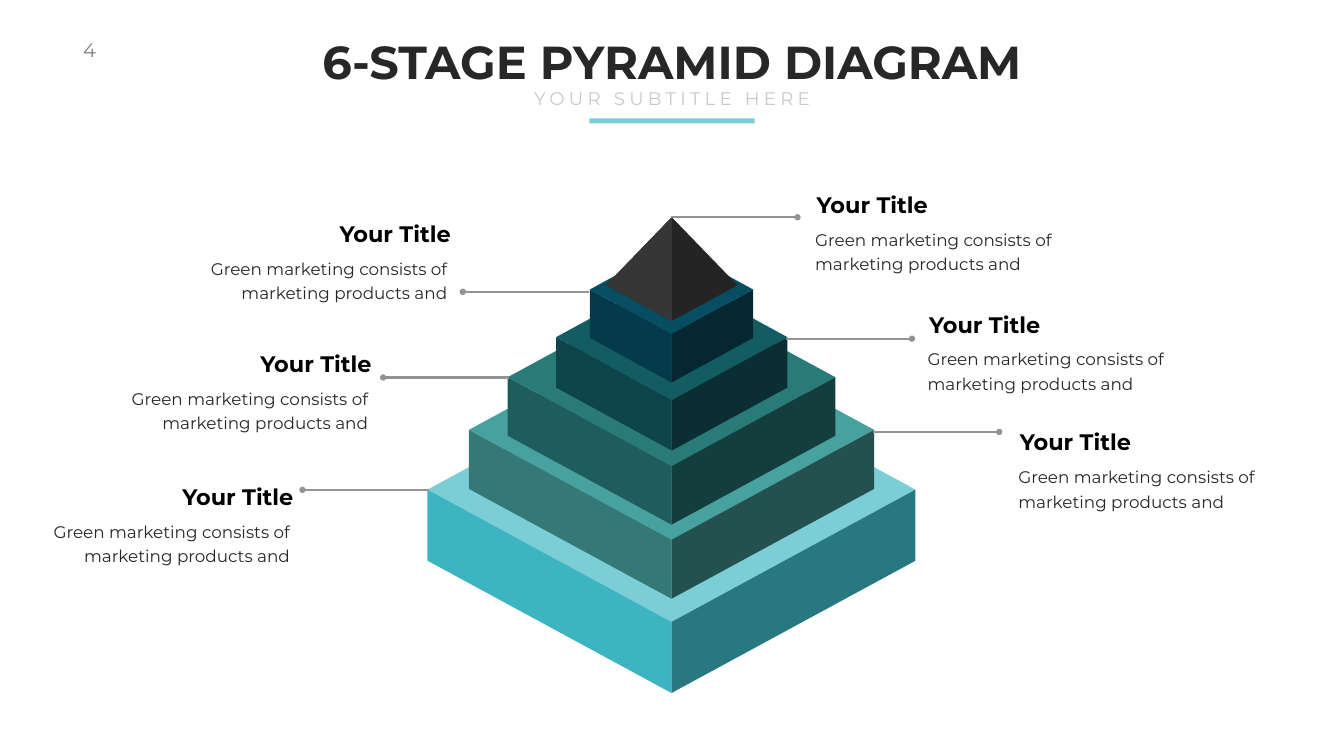
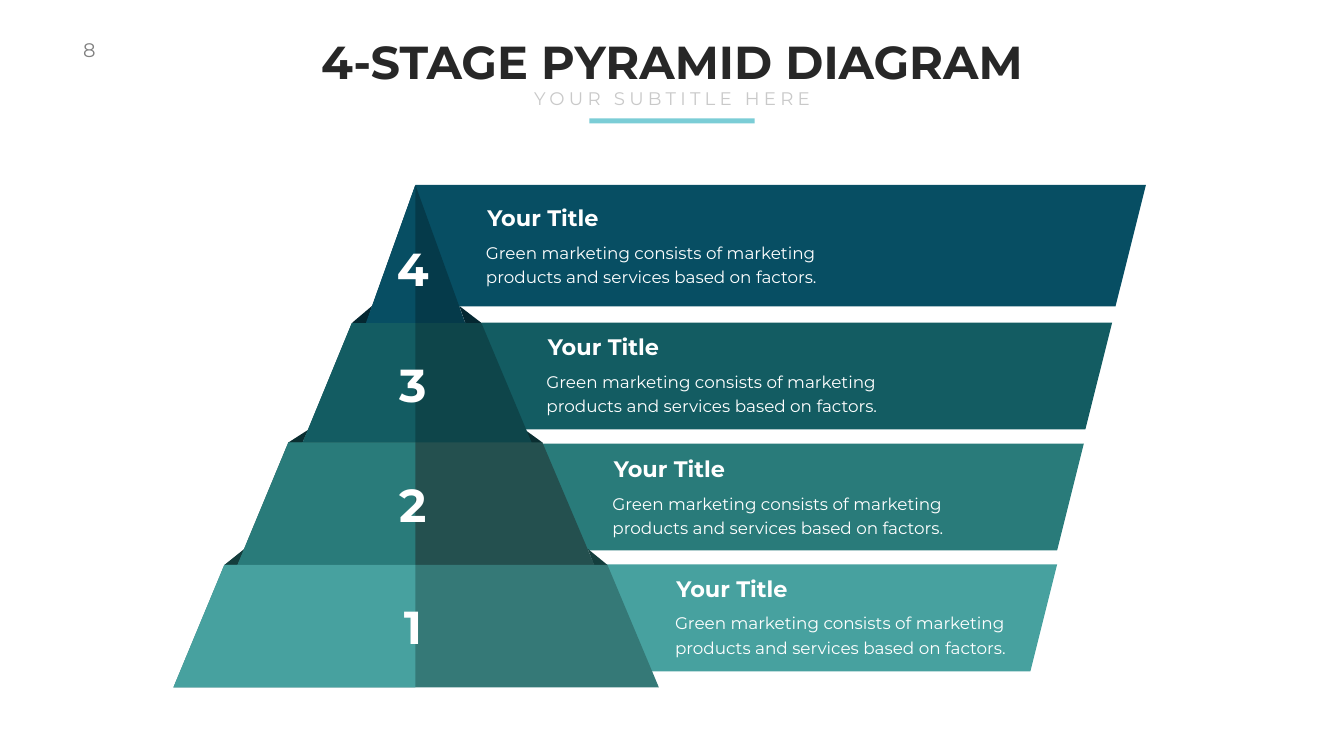
import pptx
import pptx.dml.color
import pptx.enum.shapes
import pptx.enum.text
import pptx.oxml
import pptx.oxml.ns
import pptx.util

Inches = pptx.util.Inches
Pt = pptx.util.Pt
RGB = pptx.dml.color.RGBColor
ALIGN = pptx.enum.text.PP_ALIGN
ANCHOR = pptx.enum.text.MSO_ANCHOR
SHAPE = pptx.enum.shapes.MSO_SHAPE

FONT = "Montserrat"
WHITE = RGB(0xFF, 0xFF, 0xFF)
BLACK = RGB(0x00, 0x00, 0x00)
INK = RGB(0x27, 0x27, 0x27)
GREY = RGB(0x80, 0x80, 0x80)
PALE = RGB(0xC9, 0xC9, 0xC9)
LEADER = RGB(0x93, 0x93, 0x93)
AQUA = RGB(0x7B, 0xCD, 0xD6)
AQUA_MID = RGB(0x3C, 0xB4, 0xC1)
AQUA_DARK = RGB(0x28, 0x78, 0x81)
MINT = RGB(0x47, 0xA1, 0x9F)
MINT_MID = RGB(0x35, 0x79, 0x77)
MINT_DARK = RGB(0x24, 0x50, 0x4F)
TEAL = RGB(0x29, 0x7B, 0x7A)
TEAL_MID = RGB(0x1F, 0x5C, 0x5C)
TEAL_DARK = RGB(0x14, 0x3E, 0x3D)
PINE = RGB(0x13, 0x5C, 0x62)
PINE_MID = RGB(0x0E, 0x45, 0x4A)
PINE_DARK = RGB(0x0A, 0x2E, 0x31)
NAVY = RGB(0x07, 0x4E, 0x63)
NAVY_MID = RGB(0x05, 0x3A, 0x4A)
NAVY_DARK = RGB(0x04, 0x27, 0x31)
PEAK = RGB(0x36, 0x36, 0x36)
PEAK_DARK = RGB(0x24, 0x24, 0x24)

HEADING = "Your Title"
SHORT_TEXT = "Green marketing consists of marketing products and"
LONG_TEXT = "Green marketing consists of marketing products and services based on factors."
BODY_INSETS = {"margin_left": Inches(0.24), "margin_right": Inches(0.24),
               "margin_top": Inches(0.12), "margin_bottom": Inches(0.12)}
BODY_SPACING = {"line_spacing": Pt(35), "space_before": Pt(4.8)}

BLOCKS = [
    ((8.48, 7.09, 9.68, 5.25), 1.41, (AQUA, AQUA_MID, AQUA_DARK)),
    ((9.3, 6.35, 8.04, 4.36), 1.17, (MINT, MINT_MID, MINT_DARK)),
    ((10.07, 5.72, 6.5, 3.53), 1.16, (TEAL, TEAL_MID, TEAL_DARK)),
    ((11.03, 5.44, 4.59, 2.5), 1, (PINE, PINE_MID, PINE_DARK)),
    ((11.7, 4.86, 3.24, 1.77), 0.96, (NAVY, NAVY_MID, NAVY_DARK)),
]
PEAK_BOX = (12.02, 4.31, 2.61, 2.06)
CALLOUTS = [
    ((13.32, 4.31), (15.93, 4.35), 1),
    ((15.59, 6.72), (18.16, 6.72), 1),
    ((17.32, 8.57), (19.96, 9.06), 1),
    ((8.5, 9.72), (0.65, 10.14), -1),
    ((10.1, 7.49), (2.2, 7.5), -1),
    ((11.68, 5.79), (3.77, 4.92), -1),
]
BANDS = [
    ((10.11, 11.2, 10.86, 2.12), (3.04, 0.76), MINT),
    ((8.27, 8.8, 13.23, 2.12), (3.64, 0.78), TEAL),
    ((7.74, 6.4, 14.32, 2.12), (2.86, 0.76), PINE),
    ((7.64, 3.67, 15.09, 2.41), (1.76, 0.93), NAVY),
]
FOLDS = [
    (4.45, 10.89, [(0.4, 0), (0.22, 0.42), (7.37, 0.42), (7.21, 0), (7.6, 0.32),
                   (7.48, 0.63), (0.09, 0.63), (0, 0.32)], TEAL_DARK),
    (5.72, 8.53, [(0.39, 0), (0.25, 0.32), (4.83, 0.32), (4.71, 0.01), (5.04, 0.25),
                  (4.9, 0.45), (0.02, 0.45), (0, 0.25)], PINE_DARK),
    (6.99, 6.07, [(0, 0.33), (0.39, 0), (0.25, 0.42), (2.27, 0.42), (2.12, 0),
                  (2.55, 0.33), (2.43, 0.53), (0.15, 0.53)], NAVY_DARK),
]
TIERS = [
    ("4", (7.26, 3.67, 1.97, 2.74), (0.98, 0.98), 1.04, NAVY, NAVY_MID),
    ("3", (5.98, 6.41, 4.59, 2.43), (1, 3.57), 0.61, PINE, PINE_MID),
    ("2", (4.71, 8.78, 7.08, 2.43), (1.01, 6.05), 0.61, TEAL, MINT_DARK),
    ("1", (3.44, 11.21, 9.63, 2.43), (1.01, 8.61), 0.61, MINT, MINT_MID),
]
AXIS = 8.24


def assign(obj, values):
    """Set each attribute named in values."""
    for name, value in values.items():
        setattr(obj, name, value)


def paint(sp, colour):
    """Give a shape a flat fill without line or shadow."""
    sp.shadow.inherit = False
    sp.fill.solid()
    sp.fill.fore_color.rgb = colour
    sp.line.fill.background()


def add_text(s, box, text, size, colour, bold=False, spacing=0, frame=None, para=None):
    """Add one paragraph of text in a box."""
    sp = s.shapes.add_textbox(*map(Inches, box))
    tf = sp.text_frame
    assign(tf, {"word_wrap": False,
                "auto_size": pptx.enum.text.MSO_AUTO_SIZE.SHAPE_TO_FIT_TEXT, **(frame or {})})
    p = tf.paragraphs[0]
    assign(p, para or {})
    r = p.add_run()
    r.text = text
    assign(r.font, {"name": FONT, "size": Pt(size), "bold": bold})
    r.font.color.rgb = colour
    if spacing:
        r.font._element.set("spc", str(spacing * 100))


def add_polygon(s, x, y, points, colour):
    """Draw a closed outline from offsets to a corner."""
    corners = [(Inches(x + dx), Inches(y + dy)) for dx, dy in points]
    builder = s.shapes.build_freeform(*corners[0])
    builder.add_line_segments(corners[1:], close=True)
    paint(builder.convert_to_shape(), colour)


def add_bar(s, shape, box, colour):
    """Draw a flat preset shape in a box."""
    paint(s.shapes.add_shape(shape, *map(Inches, box)), colour)


def add_header(s, number, title):
    """Add the page number, title, subtitle and rule."""
    centred = {"alignment": ALIGN.CENTER}
    add_text(s, (1.55, 0.71, 0.84, 0.57), number, 28, GREY, spacing=3)
    add_text(s, (6.18, 0.61, 14.3, 1.21), title, 66, INK, bold=True, para=centred)
    add_bar(s, SHAPE.RECTANGLE, (11.69, 2.35, 3.28, 0.1), AQUA)
    add_text(s, (10.41, 1.69, 5.85, 0.54), "YOUR SUBTITLE HERE", 26, PALE,
             spacing=6, para=centred)


def add_note(s, box, text, heading_colour, text_colour, side=1):
    """Add a body text with its heading above, set to one side."""
    x, y, w, h = box
    align = ALIGN.LEFT if side > 0 else ALIGN.RIGHT
    heading_x = x + 0.17 if side > 0 else x + w - 2.52
    add_text(s, box, text, 24, text_colour, frame={"word_wrap": True, **BODY_INSETS},
             para={"alignment": align, **BODY_SPACING})
    add_text(s, (heading_x, y - 0.61, 2.45, 0.64), HEADING, 32, heading_colour, bold=True,
             frame={"vertical_anchor": ANCHOR.MIDDLE}, para={"alignment": align})


def add_block(s, box, depth, colours):
    """Draw a slab whose top face fills the box."""
    x, y, w, h = box
    top, left, right = colours
    add_polygon(s, x, y, [(w / 2, 0), (w, h / 2), (w / 2, h), (0, h / 2)], top)
    for edge, colour in ((w, right), (0, left)):
        add_polygon(s, x, y, [(w / 2, h + depth), (edge, h / 2 + depth),
                              (edge, h / 2), (w / 2, h)], colour)


def add_peak(s, box):
    """Draw the pointed top of the pyramid in a box."""
    x, y, w, h = box
    shoulder = 1.35
    add_polygon(s, x, y, [(w / 2, 0), (w, shoulder), (w / 2, h), (0, shoulder)], PEAK_DARK)
    add_polygon(s, x, y, [(w / 2, 0), (w / 2, h), (0, shoulder)], PEAK)


def add_leader(s, x, y, side):
    """Draw a level line that ends in a dot."""
    line = s.shapes.add_connector(pptx.enum.shapes.MSO_CONNECTOR.STRAIGHT,
                                  Inches(x), Inches(y), Inches(x + 2.5 * side), Inches(y))
    line.line.width = Pt(3)
    line.line.color.rgb = LEADER
    ns = pptx.oxml.ns.nsdecls("a")
    line.line._get_or_add_ln().append(pptx.oxml.parse_xml(f'<a:tailEnd {ns} type="oval"/>'))
    line._element.spPr.append(pptx.oxml.parse_xml(f"<a:effectLst {ns}/>"))


def add_band(s, box, text_offset, colour):
    """Draw a slanted band with its text."""
    add_bar(s, SHAPE.PARALLELOGRAM, box, colour)
    x, y = box[0] + text_offset[0], box[1] + text_offset[1]
    add_note(s, (x, y, 7.24, 1.18), LONG_TEXT, WHITE, WHITE)


def add_tier(s, number, box, top, number_drop, light, dark):
    """Draw a two-tone tier with its number."""
    x, y, w, h = box
    left, right = top
    middle = AXIS - x
    add_polygon(s, x, y, [(w, h), (0, h), (left, 0), (right, 0)], dark)
    add_polygon(s, x, y, [(middle, 0), (left, 0), (0, h), (middle, h)], light)
    add_text(s, (AXIS - 0.47, y + number_drop, 0.84, 1.21), number, 66, WHITE, bold=True,
             frame={"vertical_anchor": ANCHOR.MIDDLE}, para={"alignment": ALIGN.CENTER})


def build_six_stage(s):
    """Build the stacked block pyramid slide."""
    add_header(s, "4", "6-STAGE PYRAMID DIAGRAM")
    for block in BLOCKS:
        add_block(s, *block)
    add_peak(s, PEAK_BOX)
    for start, corner, side in CALLOUTS:
        add_leader(s, *start, side)
        add_note(s, (*corner, 5.34, 1.18), SHORT_TEXT, BLACK, INK, side)


def build_four_stage(s):
    """Build the tiered pyramid slide with bands."""
    add_header(s, "8", "4-STAGE PYRAMID DIAGRAM")
    for band in BANDS:
        add_band(s, *band)
    for fold in FOLDS:
        add_polygon(s, *fold)
    for tier in TIERS:
        add_tier(s, *tier)


def main():
    """Build and save the presentation."""
    prs = pptx.Presentation()
    prs.slide_width, prs.slide_height = Inches(26.66), Inches(15)
    for build in (build_six_stage, build_four_stage):
        build(prs.slides.add_slide(prs.slide_layouts[6]))
    prs.save("out.pptx")


if __name__ == "__main__":
    main()
